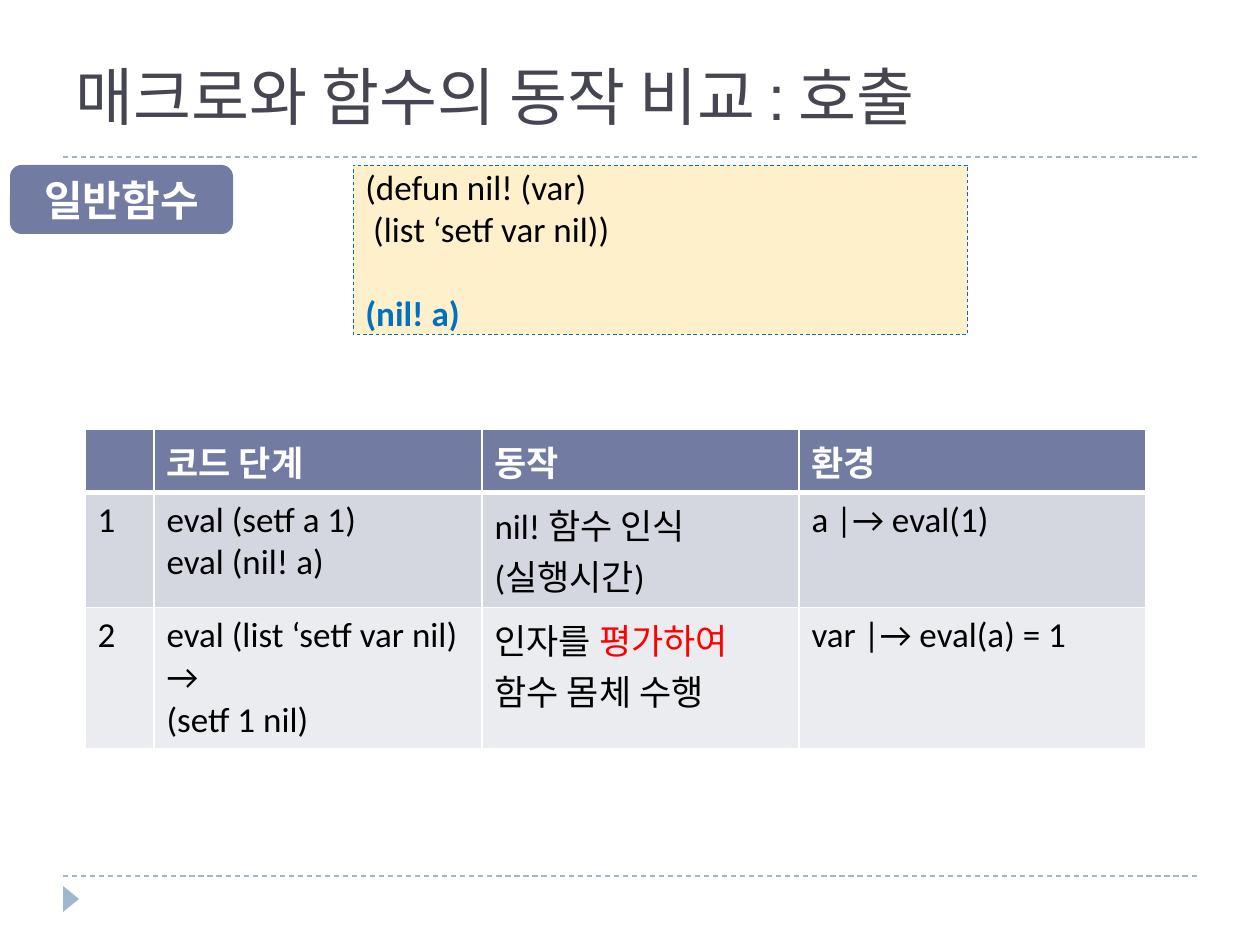
from lxml import etree
from pptx import Presentation
from pptx.dml.color import RGBColor
from pptx.enum.dml import MSO_LINE
from pptx.enum.shapes import MSO_CONNECTOR, MSO_SHAPE
from pptx.enum.text import MSO_ANCHOR, PP_ALIGN
from pptx.oxml.ns import qn
from pptx.util import Emu, Pt

DASH = MSO_LINE.DASH
STRAIGHT = MSO_CONNECTOR.STRAIGHT
RECT, ROUNDED = MSO_SHAPE.RECTANGLE, MSO_SHAPE.ROUNDED_RECTANGLE
TRIANGLE = MSO_SHAPE.ISOSCELES_TRIANGLE
MIDDLE = MSO_ANCHOR.MIDDLE
LEFT, CENTER = PP_ALIGN.LEFT, PP_ALIGN.CENTER
EMU_PER_PIXEL = 914400 / 126

COLORS = {
    "title": "464653", "accent": "727CA3", "rule": "9FB8CD",
    "code": "FDF0CA", "blue": "0070C0", "red": "FF0000",
    "odd": "D5D7E0", "even": "EBECF0", "black": "000000", "white": "FFFFFF",
}


def px(value):
    return Emu(round(value * EMU_PER_PIXEL))


def rgb(name):
    return RGBColor.from_string(COLORS[name])


class SlideBuilder:
    body_font = "Calibri"
    title_font = "Roboto Slab"

    def __init__(self, slide):
        self.slide = slide

    def style(self, paragraph, size, color="black", bold=False, font=body_font, align=LEFT):
        paragraph.alignment = align
        for run in paragraph.runs:
            run.font.size = Pt(size)
            run.font.name = font
            run.font.bold = bold
            run.font.color.rgb = rgb(color)

    def title(self, text, box):
        heading = self.slide.shapes.title
        heading.left, heading.top, heading.width, heading.height = map(px, box)
        heading.text_frame.text = text
        heading.text_frame.vertical_anchor = MIDDLE
        self.style(heading.text_frame.paragraphs[0], 36, "title", font=self.title_font)

    def rule(self, left, right, y):
        line = self.slide.shapes.add_connector(STRAIGHT, px(left), px(y), px(right), px(y))
        line.line.color.rgb = rgb("rule")
        line.line.width = Pt(0.75)
        line.line.dash_style = DASH
        etree.SubElement(line._element.spPr, qn("a:effectLst"))

    def shape(self, kind, box, fill, outline=None, rotation=0):
        shape = self.slide.shapes.add_shape(kind, *map(px, box))
        shape.shadow.inherit = False
        shape.rotation = rotation
        shape.fill.solid()
        shape.fill.fore_color.rgb = rgb(fill)
        if outline:
            shape.line.color.rgb = rgb(outline)
            shape.line.width = Pt(0.5)
            shape.line.dash_style = DASH
        else:
            shape.line.fill.background()
        frame = shape.text_frame
        frame.word_wrap = True
        frame.vertical_anchor = MIDDLE
        return frame

    def borders(self, cell, bottom):
        properties = cell._tc.get_or_add_tcPr()
        for side, width in (("L", 1), ("R", 1), ("T", 1), ("B", bottom)):
            line = etree.SubElement(properties, qn(f"a:ln{side}"), w=str(Pt(width)))
            fill = etree.SubElement(line, qn("a:solidFill"))
            etree.SubElement(fill, qn("a:srgbClr"), val=COLORS["white"])

    def table(self, rows, left, top, widths, heights):
        grid = self.slide.shapes.add_table(
            len(rows), len(widths), px(left), px(top), px(sum(widths)), px(sum(heights))
        ).table
        for column, width in zip(grid.columns, widths):
            column.width = px(width)
        for index, (row, height) in enumerate(zip(rows, heights)):
            grid.rows[index].height = px(height)
            header = index == 0
            fill = "accent" if header else "odd" if index % 2 else "even"
            for cell, text in zip(grid.rows[index].cells, row):
                self.borders(cell, 3 if header else 1)
                cell.fill.solid()
                cell.fill.fore_color.rgb = rgb(fill)
                cell.text_frame.text = text
                for paragraph in cell.text_frame.paragraphs:
                    self.style(paragraph, 20, "white" if header else "black", header)
        return grid


deck = Presentation()
deck.slide_width, deck.slide_height = px(1260), px(945)
builder = SlideBuilder(deck.slides.add_slide(deck.slide_layouts[5]))

for rule_y in (876, 157):
    builder.rule(63, 1197, rule_y)
builder.shape(TRIANGLE, (58, 891, 26, 16), "rule", rotation=90)
builder.title("매크로와 함수의 동작 비교 : 호출", (63, 32, 1134, 126))

code = builder.shape(RECT, (353, 165, 615, 169), "code", "blue")
code.text = "(defun nil! (var)\n (list ‘setf var nil))\n(nil! a)"
for code_line in code.paragraphs:
    builder.style(code_line, 20)
call = code.paragraphs[-1]
builder.style(call, 20, "blue", True)
call.space_before = Pt(24)

steps = builder.table(
    [
        ("", "코드 단계", "동작", "환경"),
        ("1", "eval (setf a 1)\neval (nil! a)", "nil! 함수 인식\n(실행시간)", "a |→ eval(1)"),
        ("2", "eval (list ‘setf var nil)\n→\n(setf 1 nil)", "인자를 ", "var |→ eval(a) = 1"),
    ],
    85, 429, (69, 328, 317, 347), (62, 115, 141),
)
action = steps.cell(2, 2).text_frame.paragraphs[0]
for phrase, color in (("평가하여 ", "red"), ("함수 몸체 수행", "black")):
    run = action.add_run()
    run.text = phrase
    run.font.size = Pt(20)
    run.font.name = builder.body_font
    run.font.color.rgb = rgb(color)

badge = builder.shape(ROUNDED, (10, 165, 223, 69), "accent")
badge.text = "일반함수"
builder.style(badge.paragraphs[0], 24, "white", True, align=CENTER)

deck.save("out.pptx")
